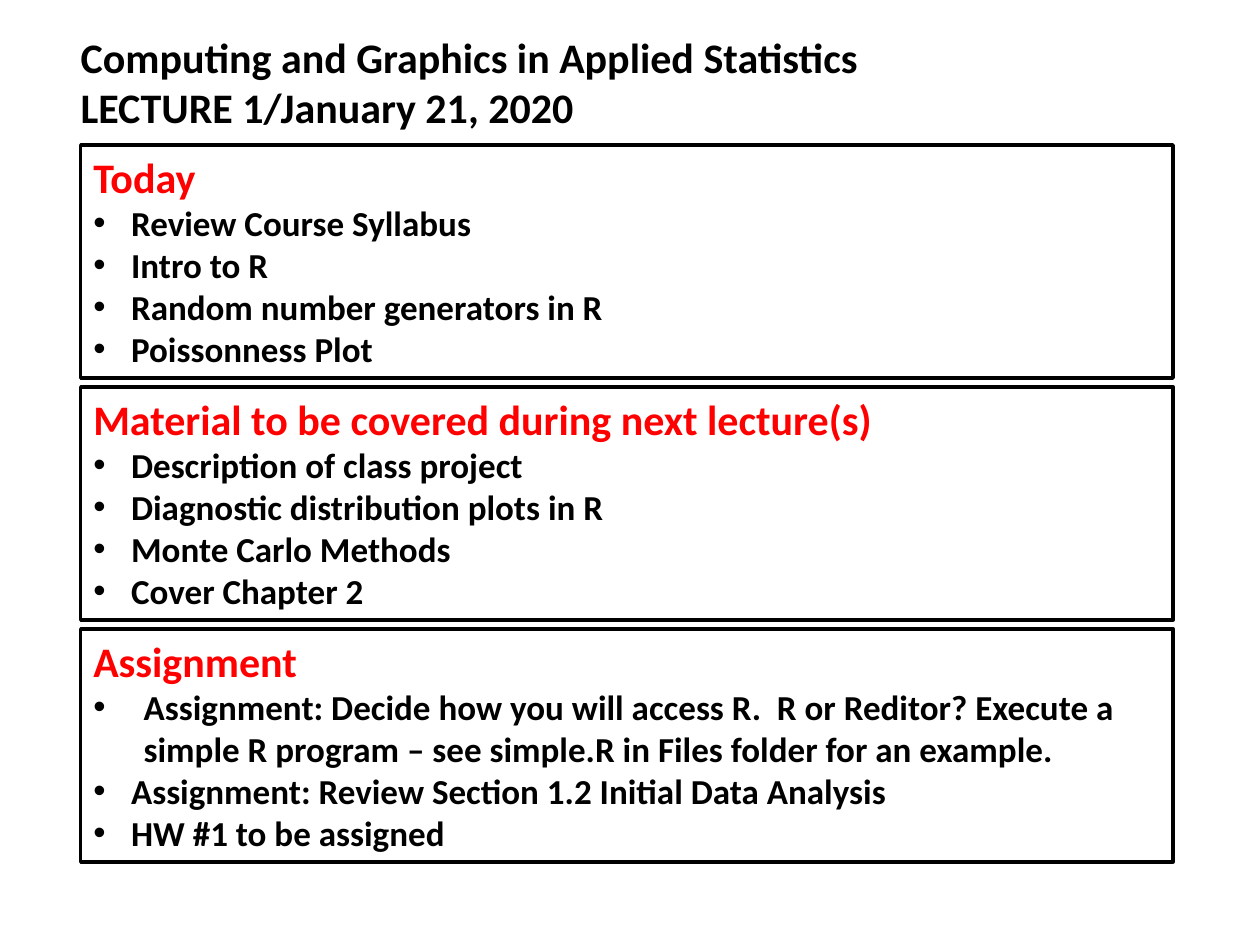
from lxml.etree import SubElement
from pptx import Presentation
from pptx.dml.color import RGBColor
from pptx.enum.text import MSO_ANCHOR, MSO_AUTO_SIZE, PP_ALIGN
from pptx.oxml.ns import qn
from pptx.util import Inches, Pt

BLACK = RGBColor(0, 0, 0)
WHITE = RGBColor(255, 255, 255)
RED = RGBColor(255, 0, 0)

COMPARISON_LAYOUT = 4  # a title and four body placeholders
TITLE = ["Computing and Graphics in Applied Statistics",
         "LECTURE 1/January 21, 2020"]

# Heading, then (text, indent in inches) for each bullet
PANELS = [
    ("Today", [
        ("Review Course Syllabus", 0.3),
        ("Intro to R", 0.3),
        ("Random number generators in R", 0.3),
        ("Poissonness Plot", 0.3)]),
    ("Material to be covered during next lecture(s)", [
        ("Description of class project", 0.3),
        ("Diagnostic distribution plots in R", 0.3),
        ("Monte Carlo Methods", 0.3),
        ("Cover Chapter 2", 0.3)]),
    ("Assignment", [
        ("Assignment: Decide how you will access R.  R or Reditor? Execute a "
         "simple R program – see simple.R in Files folder for an example.", 0.4),
        ("Assignment: Review Section 1.2 Initial Data Analysis", 0.3),
        ("HW #1 to be assigned", 0.3)]),
]
PANEL_LEFT, PANEL_TOP, PANEL_WIDTH, PANEL_HEIGHT = 0.64, 1.15, 8.67, 1.85
PANEL_STEP = 1.92


class SlideBuilder:
    """Holds the text style and the current slide."""

    frame_format = {"word_wrap": True, "auto_size": MSO_AUTO_SIZE.NONE,
                    "vertical_anchor": MSO_ANCHOR.TOP}
    para_format = {"alignment": PP_ALIGN.LEFT, "space_before": Pt(0),
                   "space_after": Pt(0), "line_spacing": 1.0}
    font_format = {"name": "Calibri", "bold": True}

    def __init__(self, slide):
        self.s = slide

    def apply(self, target, values):
        for name, value in values.items():
            setattr(target, name, value)

    def place(self, sp, left, top, width, height):
        self.apply(sp, {"left": Inches(left), "top": Inches(top),
                        "width": Inches(width), "height": Inches(height)})
        self.apply(sp.text_frame, self.frame_format)

    def paragraph(self, tf, text, size, color, first=False, indent=0):
        p = tf.paragraphs[0] if first else tf.add_paragraph()
        pPr = p._p.get_or_add_pPr()
        pPr.set("marL", str(Inches(indent)))
        pPr.set("indent", str(-Inches(indent)))
        if indent:
            SubElement(pPr, qn("a:buFont"), typeface="Arial")
            SubElement(pPr, qn("a:buChar"), char="•")
        else:
            SubElement(pPr, qn("a:buNone"))
        self.apply(p, self.para_format)
        r = p.add_run()
        r.text = text
        self.apply(r.font, {**self.font_format, "size": Pt(size)})
        r.font.color.rgb = color

    def title(self, lines):
        sp = self.s.shapes.title
        self.place(sp, 0.54, 0.2, 8, 0.93)
        for i, line in enumerate(lines):
            self.paragraph(sp.text_frame, line, 24, BLACK, first=i == 0)

    def panel(self, sp, top, heading, bullets):
        self.place(sp, PANEL_LEFT, top, PANEL_WIDTH, PANEL_HEIGHT)
        sp.fill.solid()
        sp.fill.fore_color.rgb = WHITE
        sp.line.color.rgb = BLACK
        sp.line.width = Pt(2)
        self.paragraph(sp.text_frame, heading, 24, RED, first=True)
        for text, indent in bullets:
            self.paragraph(sp.text_frame, text, 20, BLACK, indent=indent)

    def remove_empty_placeholders(self):
        for sp in list(self.s.placeholders):
            if not sp.text_frame.text:
                sp.element.getparent().remove(sp.element)


def main():
    prs = Presentation()
    prs.slide_width, prs.slide_height = Inches(10), Inches(7.5)
    slide = prs.slides.add_slide(prs.slide_layouts[COMPARISON_LAYOUT])
    builder = SlideBuilder(slide)

    # Course and lecture title
    builder.title(TITLE)

    # Stacked panels
    bodies = list(slide.placeholders)[1:]
    for i, (sp, (heading, bullets)) in enumerate(zip(bodies, PANELS)):
        builder.panel(sp, PANEL_TOP + i * PANEL_STEP, heading, bullets)

    builder.remove_empty_placeholders()
    prs.save("out.pptx")


if __name__ == "__main__":
    main()
